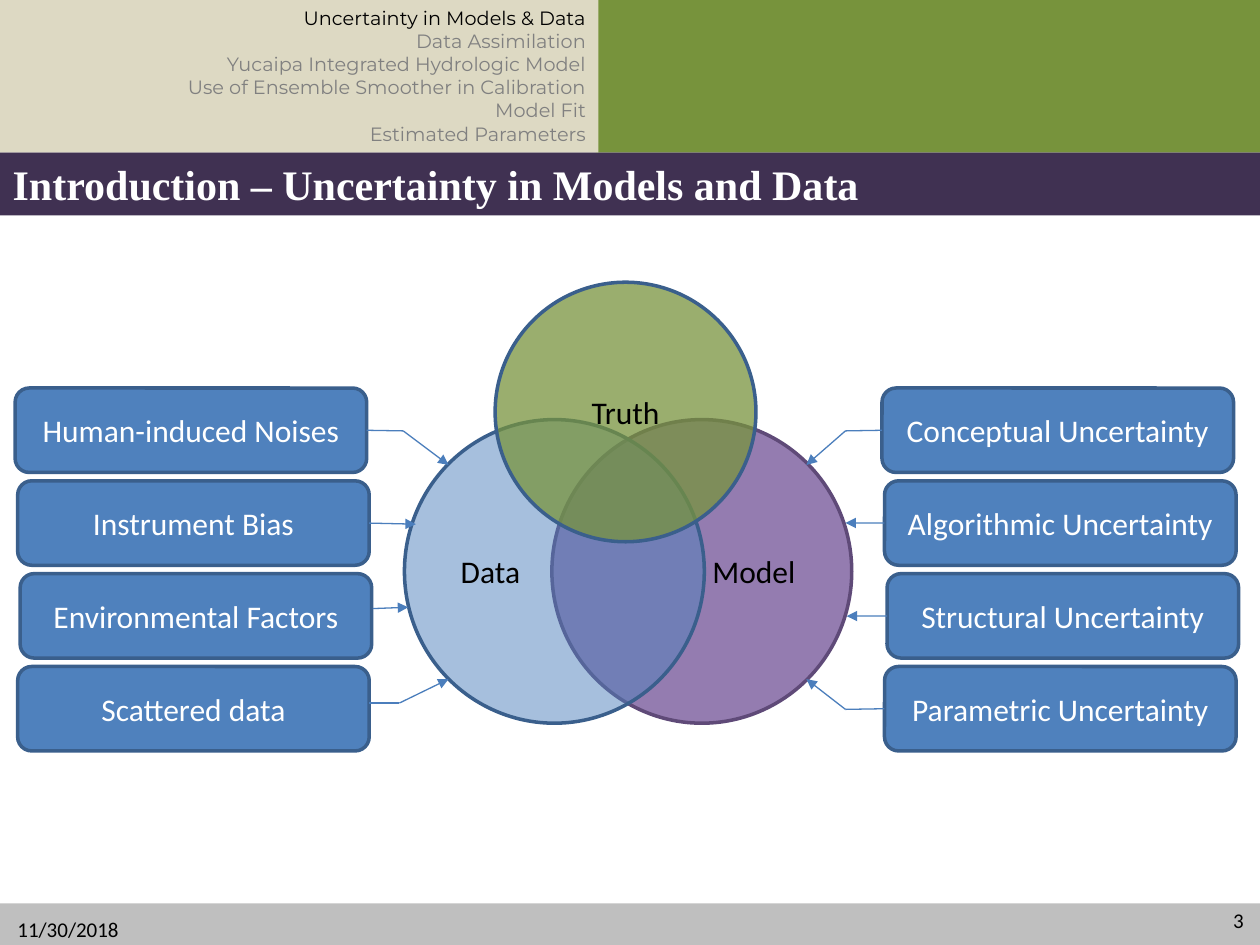
from lxml import etree
from pptx import Presentation
from pptx import util as u
from pptx.dml.color import RGBColor
from pptx.enum import shapes, text
from pptx.oxml.ns import qn

SHAPE = shapes.MSO_SHAPE
ALIGN = text.PP_ALIGN
ANCHOR = text.MSO_ANCHOR
BLUE, OUTLINE, ARROW, GREEN = "4F81BD", "3A5F8C", "4B7EBC", "77933C"
BLACK, WHITE, GREY = "000000", "FFFFFF", "808080"


def color(value):
    return RGBColor.from_string(value)


class SlideBuilder:
    label_format = {"name": "Calibri", "size": u.Pt(18), "bold": False}

    def __init__(self, slide):
        self.slide = slide

    def set_text(self, shape, lines, align, anchor=ANCHOR.MIDDLE, **changes):
        """Set (text, colour) pairs, one paragraph each."""
        frame = shape.text_frame
        frame.word_wrap = True
        frame.vertical_anchor = anchor
        for index, (content, font_color) in enumerate(lines):
            paragraph = frame.add_paragraph() if index else frame.paragraphs[0]
            paragraph.alignment = align
            run = paragraph.add_run()
            run.text = content
            for key, value in {**self.label_format, **changes}.items():
                setattr(run.font, key, value)
            run.font.color.rgb = color(font_color)

    def fill(self, shape, fill_color, opacity=100):
        shape.fill.solid()
        shape.fill.fore_color.rgb = color(fill_color)
        if opacity < 100:
            srgb = shape._element.spPr.find(qn("a:solidFill")).find(qn("a:srgbClr"))
            etree.SubElement(srgb, qn("a:alpha"), val=str(opacity * 1000))

    def shape(self, kind, box, fill_color, outline=None, opacity=100):
        shape = self.slide.shapes.add_shape(kind, *map(u.Inches, box))
        shape.shadow.inherit = False
        self.fill(shape, fill_color, opacity)
        if outline:
            shape.line.color.rgb = color(outline)
            shape.line.width = u.Pt(2)
        else:
            shape.line.fill.background()
        return shape

    def title(self, content, box, fill_color):
        title = self.slide.shapes.title
        title.left, title.top, title.width, title.height = map(u.Inches, box)
        self.fill(title, fill_color)
        self.set_text(title, [(content, WHITE)], ALIGN.LEFT, ANCHOR.TOP,
                      name="Times New Roman", size=u.Pt(24), bold=True)

    def text_box(self, content, box, align):
        shape = self.slide.shapes.add_textbox(*map(u.Inches, box))
        self.set_text(shape, [(content, BLACK)], align, size=u.Pt(12))

    def circle(self, kind, box, content, align, fill_color, outline, opacity):
        shape = self.shape(kind, box, fill_color, outline, opacity)
        self.set_text(shape, [(content, BLACK)], align)

    def factor(self, content, left, top):
        shape = self.shape(SHAPE.ROUNDED_RECTANGLE, (left, top, 2.79, 0.67), BLUE, OUTLINE)
        self.set_text(shape, [(content, WHITE)], ALIGN.CENTER)
        return shape

    def line(self, start, end, arrow):
        connector = self.slide.shapes.add_connector(
            shapes.MSO_CONNECTOR.STRAIGHT, *map(u.Inches, start + end))
        connector.line.color.rgb = color(ARROW)
        connector.line.width = u.Pt(0.75)
        properties = connector._element.spPr
        if arrow:
            etree.SubElement(properties.find(qn("a:ln")), qn("a:tailEnd"), type="triangle")
        etree.SubElement(properties, qn("a:effectLst"))
        return connector

    def route(self, points, source=None, site=None):
        """Line through the points, with an arrowhead at the last one."""
        for index, (start, end) in enumerate(zip(points, points[1:])):
            connector = self.line(start, end, arrow=index == len(points) - 2)
            if source is not None and index == 0:
                connector.begin_connect(source, site)


def main():
    presentation = Presentation()
    presentation.slide_width, presentation.slide_height = u.Inches(10), u.Inches(7.5)
    layout = presentation.slide_layouts.get_by_name("Title Only")
    builder = SlideBuilder(presentation.slides.add_slide(layout))

    # Header, title bar and footer
    builder.shape(SHAPE.RECTANGLE, (4.73, 0, 5.27, 1.21), GREEN)
    builder.title("Introduction – Uncertainty in Models and Data", (0, 1.21, 10, 0.5), "403152")
    builder.shape(SHAPE.RECTANGLE, (0, 7.17, 10, 0.33), "BFBFBF")
    builder.text_box("11/30/2018", (0.04, 7.25, 2.33, 0.25), ALIGN.LEFT)
    builder.text_box("3", (7.64, 7.1, 2.33, 0.4), ALIGN.RIGHT)

    # Lower circles
    builder.circle(SHAPE.OVAL, (4.38, 3.33, 2.38, 2.41), "Model", ALIGN.RIGHT,
                   "8064A2", "5F4A78", 84)
    builder.circle(SHAPE.OVAL, (3.21, 3.33, 2.38, 2.41), "Data", ALIGN.LEFT,
                   BLUE, OUTLINE, 50)

    # Factor columns: label, shift from the column edge, route, joined to the box
    model_factors = [
        ("Conceptual Uncertainty", 0, [(7, 3.42), (6.71, 3.42), (6.4, 3.69)], True),
        ("Algorithmic Uncertainty", 0.02, [(7.02, 4.15), (6.71, 4.15)], True),
        ("Structural Uncertainty", 0.04, [(7.04, 4.89), (6.72, 4.89)], True),
        ("Parametric Uncertainty", 0.02, [(7.02, 5.63), (6.71, 5.63), (6.4, 5.39)], True),
    ]
    data_factors = [
        ("Human-induced Noises", 0, [(2.91, 3.42), (3.2, 3.42), (3.56, 3.69)], True),
        ("Instrument Bias", 0.02, [(2.93, 4.15), (3.3, 4.16)], True),
        ("Environmental Factors", 0.04, [(2.96, 4.83), (3.24, 4.82)], False),
        ("Scattered data", 0.02, [(2.93, 5.58), (3.17, 5.58), (3.56, 5.39)], False),
    ]
    for left, site, factors in ((7, 1, model_factors), (0.12, 3, data_factors)):
        for row, (label, shift, points, joined) in enumerate(factors):
            box = builder.factor(label, left + shift, 3.08 + row * 2.21 / 3)
            builder.route(points, box if joined else None, site)

    # Upper circle
    builder.circle(SHAPE.FLOWCHART_CONNECTOR, (3.93, 2.24, 2.07, 2.06), "Truth",
                   ALIGN.CENTER, GREEN, OUTLINE, 74)

    # Section list, current section in black
    sections = ["Uncertainty in Models & Data", "Data Assimilation",
                "Yucaipa Integrated Hydrologic Model",
                "Use of Ensemble Smoother in Calibration", "Model Fit",
                "Estimated Parameters"]
    agenda = builder.shape(SHAPE.RECTANGLE, (0, 0, 4.75, 1.21), "DDD9C3")
    builder.set_text(agenda,
                     [(name, GREY if index else BLACK) for index, name in enumerate(sections)],
                     ALIGN.RIGHT, ANCHOR.TOP, name="Montserrat", size=u.Pt(11))

    presentation.save("out.pptx")


if __name__ == "__main__":
    main()
